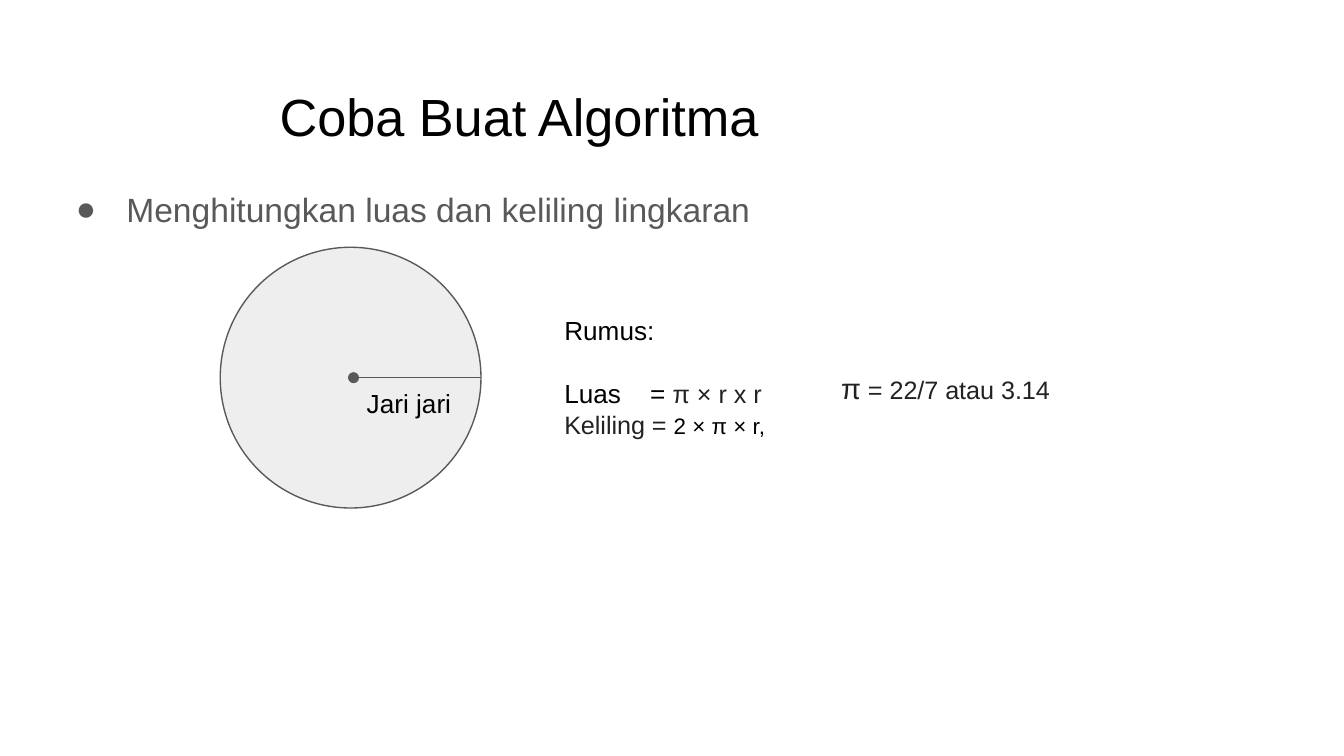
from lxml.etree import SubElement
from pptx import Presentation
from pptx.dml.color import RGBColor
from pptx.enum.shapes import MSO_CONNECTOR, MSO_SHAPE
from pptx.enum.text import MSO_ANCHOR, MSO_AUTO_SIZE, PP_ALIGN
from pptx.oxml.ns import qn
from pptx.util import Pt

COLORS = {"black": "000000", "gray": "595959", "dark": "222222", "disc": "EEEEEE"}
FONT = "Arial"
INSET = 7.2


def color(name):
    return RGBColor.from_string(COLORS[name])


class SlideBuilder:
    def __init__(self, slide):
        self.slide = slide

    def prepare(self, box, place, top_inset=INSET):
        box.left, box.top, box.width, box.height = map(Pt, place)
        frame = box.text_frame
        frame.word_wrap = True
        frame.auto_size = MSO_AUTO_SIZE.NONE
        frame.vertical_anchor = MSO_ANCHOR.TOP
        frame.margin_left = frame.margin_right = frame.margin_bottom = Pt(INSET)
        frame.margin_top = Pt(top_inset)
        return frame

    def add_spans(self, para, spans):
        para.alignment = PP_ALIGN.LEFT
        para.space_before = Pt(0)
        for text, size, shade in spans:
            span = para.add_run()
            span.text = text
            span.font.name = FONT
            span.font.size = Pt(size)
            span.font.color.rgb = color(shade)

    def title(self, place, text):
        frame = self.prepare(self.slide.shapes.title, place, top_inset=10)
        self.add_spans(frame.paragraphs[0], [(text, 28, "black")])

    def bullet(self, place, text):
        frame = self.prepare(self.slide.placeholders[1], place)
        para = frame.paragraphs[0]
        self.add_spans(para, [(text, 18, "gray")])
        para.line_spacing = 1.15
        properties = para._p.get_or_add_pPr()
        properties.set("marL", str(Pt(36)))
        properties.set("indent", str(Pt(-27)))
        bullet_color = SubElement(properties, qn("a:buClr"))
        SubElement(bullet_color, qn("a:srgbClr"), val=COLORS["gray"])
        SubElement(properties, qn("a:buFont"), typeface=FONT)
        SubElement(properties, qn("a:buChar"), char="●")

    def text(self, place, lines):
        frame = self.prepare(self.slide.shapes.add_textbox(*map(Pt, place)), place)
        for index, spans in enumerate(lines):
            para = frame.add_paragraph() if index else frame.paragraphs[0]
            self.add_spans(para, spans)
        return frame.paragraphs

    def tab_stop(self, para, position):
        tabs = SubElement(para._p.get_or_add_pPr(), qn("a:tabLst"))
        SubElement(tabs, qn("a:tab"), pos=str(Pt(position)), algn="l")

    def circle(self, left, top, diameter):
        place = map(Pt, (left, top, diameter, diameter))
        disc = self.slide.shapes.add_shape(MSO_SHAPE.OVAL, *place)
        disc.shadow.inherit = False
        disc.fill.solid()
        disc.fill.fore_color.rgb = color("disc")
        disc.line.color.rgb = color("gray")
        disc.line.width = Pt(0.75)

    def dotted_start_line(self, *ends):
        line = self.slide.shapes.add_connector(MSO_CONNECTOR.STRAIGHT, *map(Pt, ends))
        line.line.color.rgb = color("gray")
        line.line.width = Pt(0.75)
        properties = line._element.spPr
        SubElement(properties.find(qn("a:ln")), qn("a:headEnd"), type="oval")
        SubElement(properties, qn("a:effectLst"))


def main():
    deck = Presentation()
    deck.slide_width, deck.slide_height = Pt(720), Pt(405)
    page = SlideBuilder(deck.slides.add_slide(deck.slide_layouts[1]))

    # Title and task
    page.title((142.6, 35.3, 553, 45.4), "Coba Buat Algoritma")
    page.bullet((24.5, 90.7, 671, 269.3), "Menghitungkan luas dan keliling lingkaran")

    # Circle with its radius
    left, top, diameter = 118, 132.5, 139.7
    middle = top + diameter / 2
    page.circle(left, top, diameter)
    page.dotted_start_line(189.4, middle, left + diameter, middle)
    page.text((189.4, 200.2, 60.5, 31.7), [[("Jari jari", 14, "black")]])

    # Formulas, with the equals signs lined up
    formulas = page.text((295.2, 161.3, 332.6, 97.9), [
        [("Rumus:", 14, "black")],
        [("Luas\t= ", 14, "black"), ("π × r x r", 13.5, "dark")],
        [("Keliling = ", 13.5, "dark"), ("2 × π × r,", 12, "black")],
    ])
    formulas[1].space_before = Pt(17)
    page.tab_stop(formulas[1], 46)

    # Value of pi
    page.text((443.5, 191.5, 131.8, 37.4),
              [[("π", 15.5, "dark"), (" = 22/7 atau 3.14", 13.5, "dark")]])

    deck.save("out.pptx")


if __name__ == "__main__":
    main()
